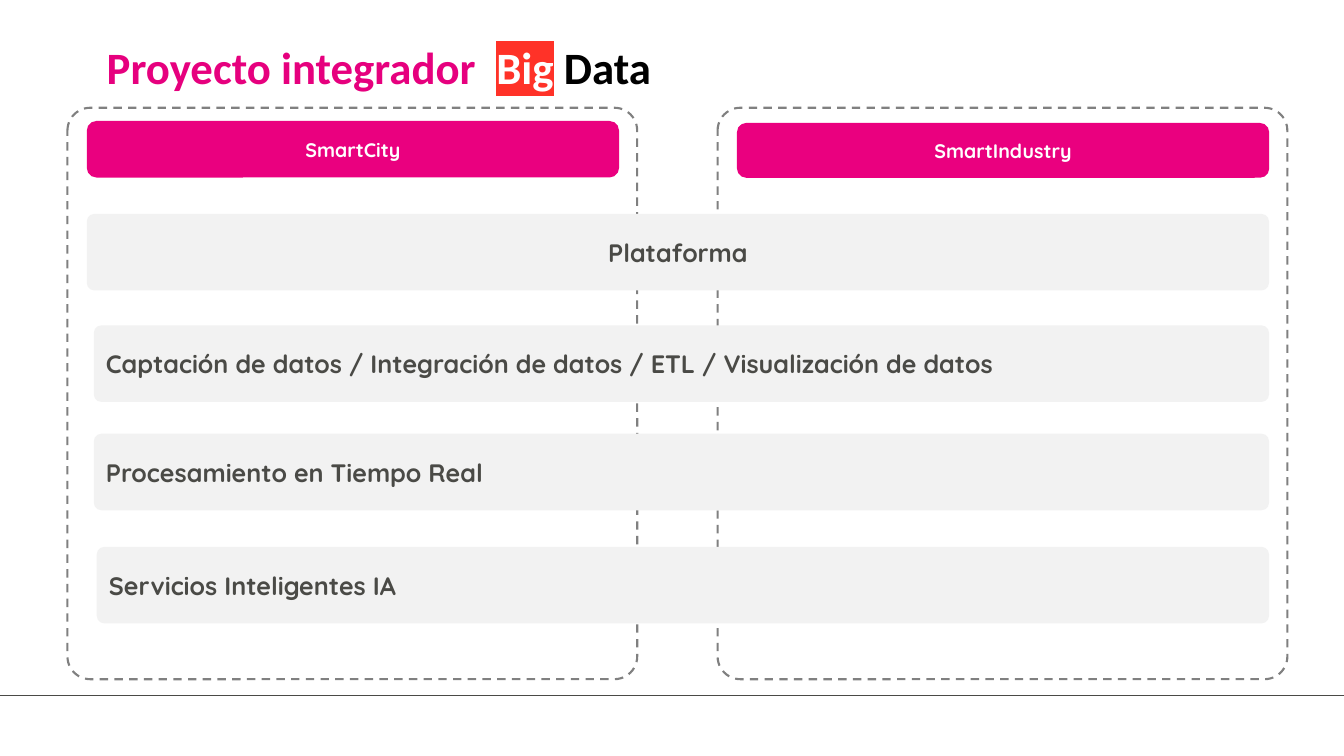
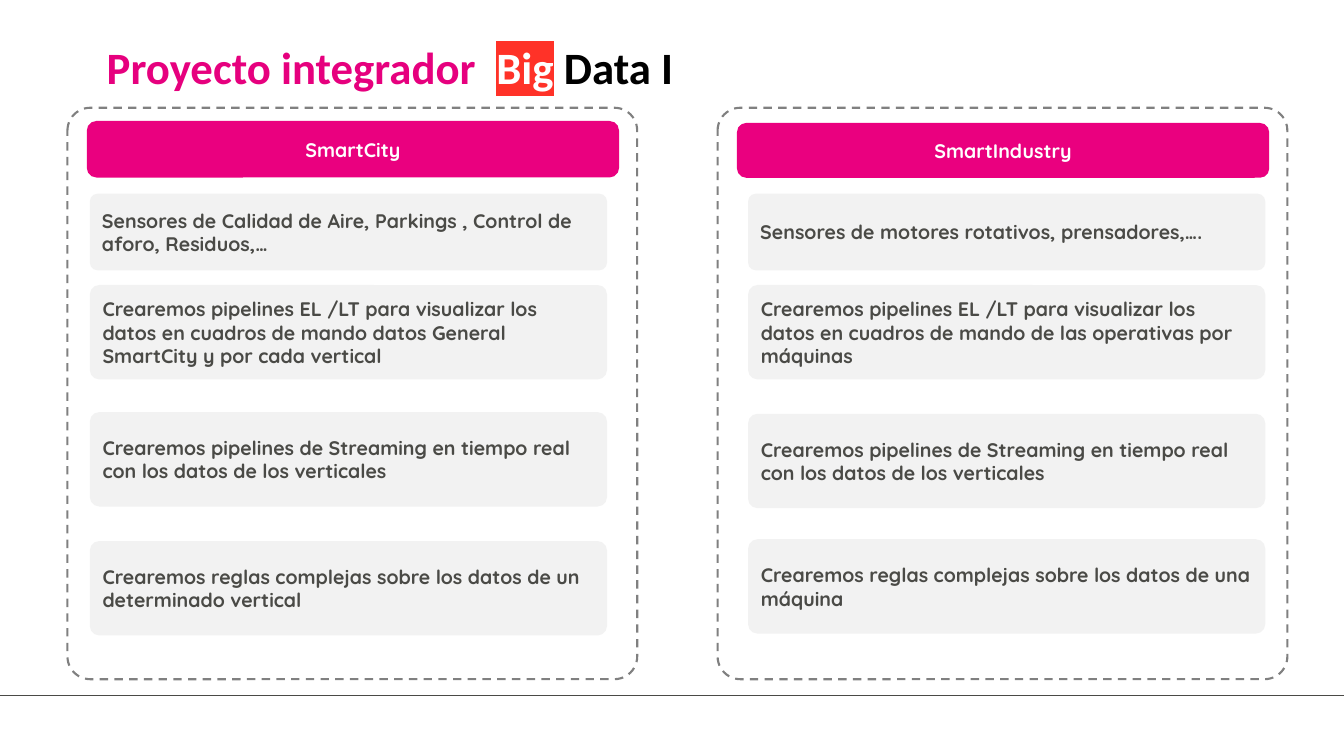
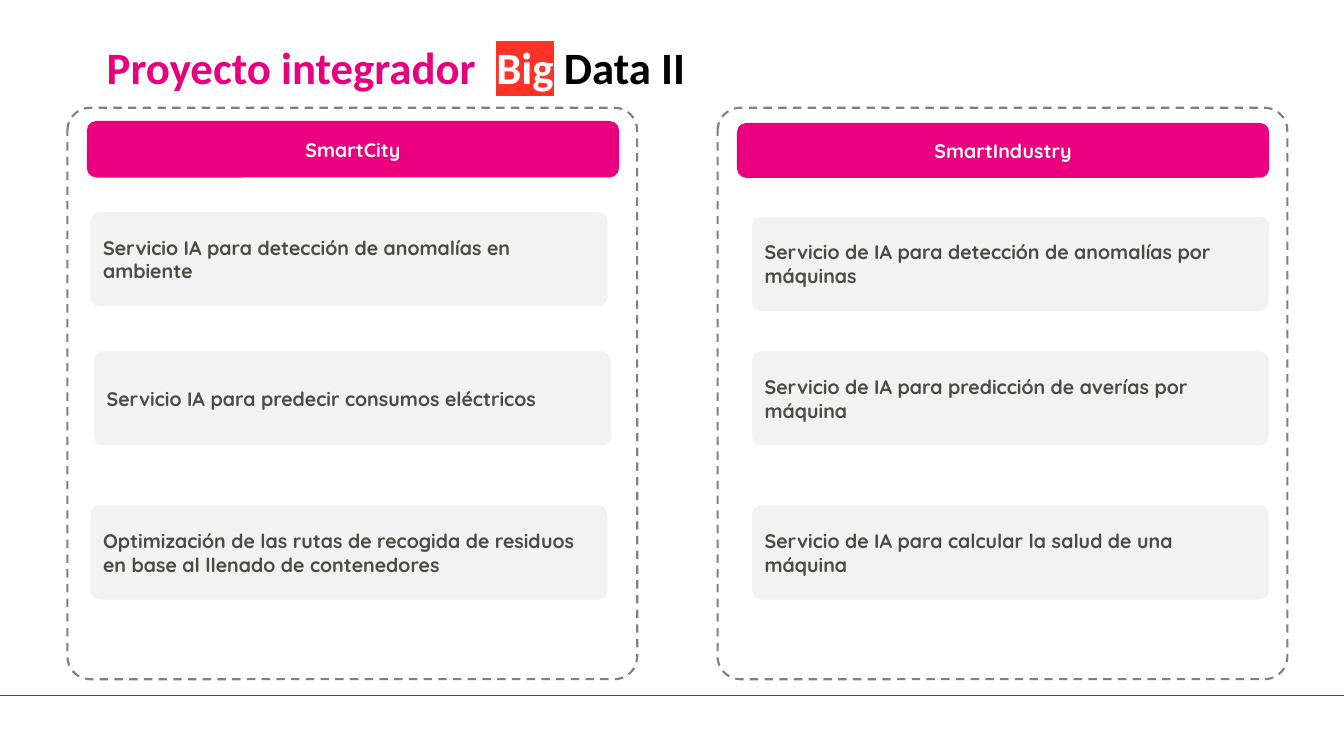
from dataclasses import dataclass

from lxml import etree
from pptx import Presentation
from pptx.dml.color import RGBColor
from pptx.enum.dml import MSO_LINE
from pptx.enum.shapes import MSO_CONNECTOR, MSO_SHAPE
from pptx.enum.text import MSO_ANCHOR, MSO_AUTO_SIZE, PP_ALIGN
from pptx.oxml.ns import qn
from pptx.util import Pt

ROUNDED = MSO_SHAPE.ROUNDED_RECTANGLE
STRAIGHT = MSO_CONNECTOR.STRAIGHT
DASH = MSO_LINE.DASH
MIDDLE = MSO_ANCHOR.MIDDLE
TOP = MSO_ANCHOR.TOP
GROW = MSO_AUTO_SIZE.SHAPE_TO_FIT_TEXT
LEFT = PP_ALIGN.LEFT
CENTER = PP_ALIGN.CENTER


@dataclass(frozen=True)
class Theme:
    title_font: str = "Calibri"
    body_font: str = "Quicksand"
    title_size: float = 32
    layer_size: float = 18
    body_size: float = 14
    title_pink: str = "E6007E"
    banner_pink: str = "EA007F"
    highlight: str = "FF3228"
    white: str = "FFFFFF"
    black: str = "000000"
    card: str = "F2F2F2"
    text: str = "4A4A46"
    dash: str = "808080"
    rule: str = "4A4A46"


class Deck:
    def __init__(self, theme):
        self.theme = theme
        self.presentation = Presentation()
        self.presentation.slide_width = Pt(960)
        self.presentation.slide_height = Pt(540)
        self.slide = None

    def new_slide(self, title_ending):
        layout = self.presentation.slide_layouts[6]
        self.slide = self.presentation.slides.add_slide(layout)
        self.footer_rule()
        for left in (48.2, 512.6):
            self.panel(left)
        self.title(title_ending)
        self.banner("SmartCity", 62, 86.4, 40.4)
        self.banner("SmartIndustry", 526.4, 87.8, 39.2)

    def footer_rule(self):
        rule = self.slide.shapes.add_connector(STRAIGHT, Pt(0), Pt(496.6), Pt(960), Pt(496.6))
        rule.line.color.rgb = RGBColor.from_string(self.theme.rule)
        rule.line.width = Pt(0.5)
        etree.SubElement(rule._element.spPr, qn("a:effectLst"))

    def rounded(self, left, top, width, height, corner, fill=None):
        shape = self.slide.shapes.add_shape(ROUNDED, Pt(left), Pt(top), Pt(width), Pt(height))
        shape.shadow.inherit = False
        shape.adjustments[0] = corner
        shape.line.fill.background()
        if fill:
            shape.fill.solid()
            shape.fill.fore_color.rgb = RGBColor.from_string(fill)
        else:
            shape.fill.background()
        return shape

    def panel(self, left):
        panel = self.rounded(left, 77, 407, 408.2, 0.04)
        panel.line.color.rgb = RGBColor.from_string(self.theme.dash)
        for name, value in {"width": Pt(1.5), "dash_style": DASH}.items():
            setattr(panel.line, name, value)

    def run(self, paragraph, text, color, size, font):
        run = paragraph.add_run()
        run.text = text
        run.font.color.rgb = RGBColor.from_string(color)
        for name, value in {"name": font, "size": Pt(size), "bold": True}.items():
            setattr(run.font, name, value)
        return run

    def title(self, ending):
        theme = self.theme
        box = self.slide.shapes.add_textbox(Pt(69.1), Pt(24.5), Pt(450), Pt(46))
        frame_format = {"word_wrap": False, "auto_size": GROW, "vertical_anchor": TOP}
        for name, value in frame_format.items():
            setattr(box.text_frame, name, value)
        paragraph = box.text_frame.paragraphs[0]
        paragraph.alignment = LEFT
        style = (theme.title_size, theme.title_font)
        self.run(paragraph, "Proyecto integrador  ", theme.title_pink, *style)
        marked = self.run(paragraph, "Big", theme.white, *style)
        self.run(paragraph, ending, theme.black, *style)
        highlight = etree.Element(qn("a:highlight"))
        etree.SubElement(highlight, qn("a:srgbClr"), val=theme.highlight)
        marked._r.rPr.find(qn("a:solidFill")).addnext(highlight)

    def label(self, shape, text, color, size, alignment):
        for name, value in {"word_wrap": True, "vertical_anchor": MIDDLE}.items():
            setattr(shape.text_frame, name, value)
        paragraph = shape.text_frame.paragraphs[0]
        paragraph.alignment = alignment
        self.run(paragraph, text, color, size, self.theme.body_font)

    def banner(self, text, left, top, height):
        banner = self.rounded(left, top, 380.2, height, 0.17, self.theme.banner_pink)
        self.label(banner, text, self.theme.white, self.theme.body_size, CENTER)

    def layer(self, text, left, top, alignment=LEFT):
        layer = self.rounded(left, top, 906.5 - left, 54.7, 0.1, self.theme.card)
        self.label(layer, text, self.theme.text, self.theme.layer_size, alignment)

    def card(self, text, left, top, height=67.4):
        card = self.rounded(left, top, 369.4, height, 0.1, self.theme.card)
        self.label(card, text, self.theme.text, self.theme.body_size, LEFT)


def main():
    deck = Deck(Theme())

    deck.new_slide(" Data")
    deck.layer("Plataforma", 62, 152.8, CENTER)
    deck.layer("Captación de datos / Integración de datos / ETL / Visualización de datos", 67, 232.4)
    deck.layer("Procesamiento en Tiempo Real", 67, 309.8)
    deck.layer("Servicios Inteligentes IA", 69.1, 390.6)

    deck.new_slide(" Data I")
    city_left, industry_left = 64.2, 534.4
    deck.card("Sensores de Calidad de Aire, Parkings , Control de aforo, Residuos,…",
              city_left, 138.4, 54.7)
    deck.card("Sensores de motores rotativos, prensadores,….", industry_left, 138.4, 54.7)
    dashboards = "Crearemos pipelines EL /LT para visualizar los datos en cuadros de mando "
    streaming = "Crearemos pipelines de Streaming en tiempo real con los datos de los verticales"
    rules = "Crearemos reglas complejas sobre los datos de "
    deck.card(dashboards + "datos General SmartCity y por cada vertical", city_left, 203.6)
    deck.card(dashboards + "de las operativas por máquinas", industry_left, 203.6)
    deck.card(streaming, city_left, 294.4)
    deck.card(streaming, industry_left, 295.6)
    deck.card(rules + "un determinado vertical", city_left, 386.5)
    deck.card(rules + "una máquina", industry_left, 385.2)

    deck.new_slide(" Data II")
    city_left, industry_left = 64.6, 537.1
    deck.card("Servicio IA para detección de anomalías en ambiente", city_left, 151.4)
    deck.card("Servicio de IA para detección de anomalías por máquinas", industry_left, 154.8)
    deck.card("Servicio IA para predecir consumos eléctricos", 67.1, 251)
    deck.card("Servicio de IA para predicción de averías por máquina", industry_left, 251)
    deck.card("Optimización de las rutas de recogida de residuos en base al llenado de contenedores",
              city_left, 361)
    deck.card("Servicio de IA para calcular la salud de una máquina", industry_left, 361)

    deck.presentation.save("out.pptx")


if __name__ == "__main__":
    main()
